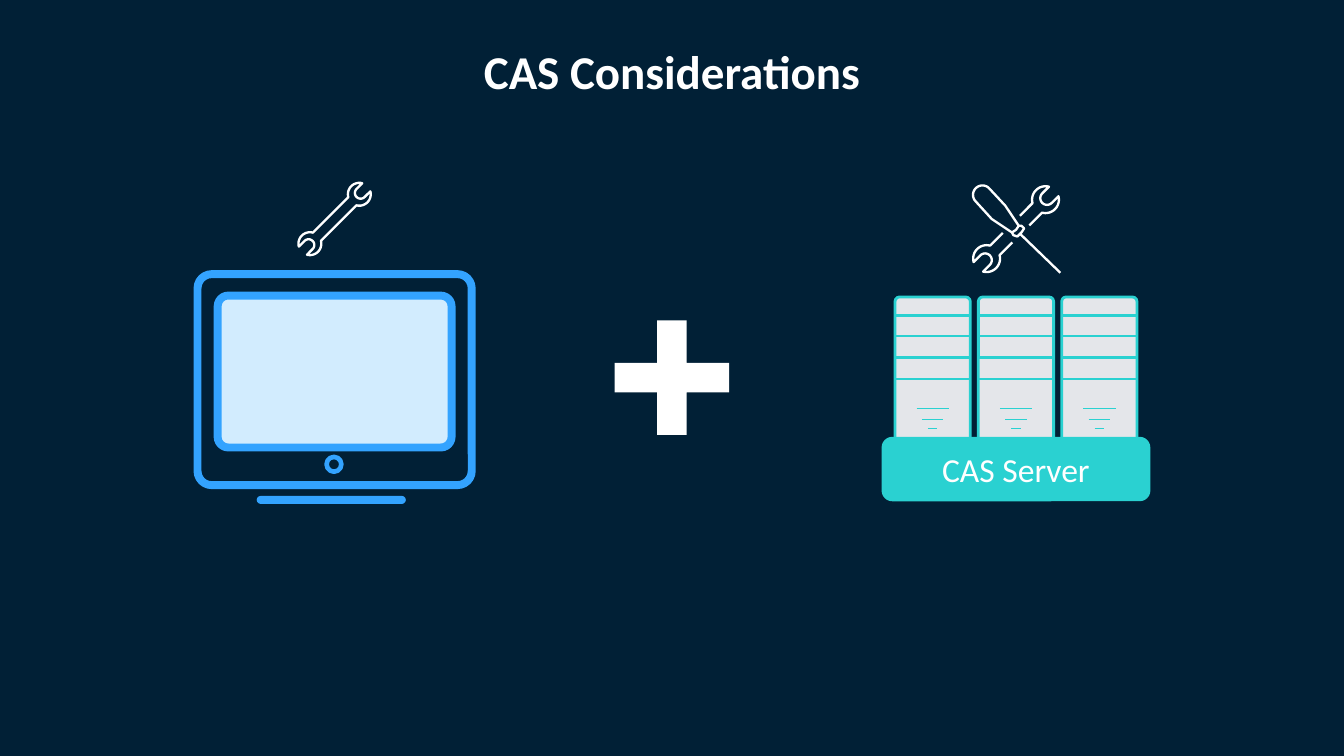
from math import cos, radians, sin, sqrt

from lxml import etree
from pptx import Presentation
from pptx.dml.color import RGBColor
from pptx.enum.shapes import MSO_CONNECTOR, MSO_SHAPE
from pptx.enum.text import MSO_ANCHOR, PP_ALIGN
from pptx.oxml.ns import qn
from pptx.util import Inches, Pt

ROUNDED, OVAL, PLUS = MSO_SHAPE.ROUNDED_RECTANGLE, MSO_SHAPE.OVAL, MSO_SHAPE.MATH_PLUS
STRAIGHT = MSO_CONNECTOR.STRAIGHT
MIDDLE, CENTER = MSO_ANCHOR.MIDDLE, PP_ALIGN.CENTER

THEME = {
    "font": "Calibri",
    "title_size": Pt(25.2),
    "label_size": Pt(18),
    "navy": RGBColor(0x01, 0x20, 0x36),
    "white": RGBColor(0xFF, 0xFF, 0xFF),
    "blue": RGBColor(0x33, 0xA3, 0xFF),
    "pale_blue": RGBColor(0xD2, 0xEC, 0xFE),
    "teal": RGBColor(0x2A, 0xD1, 0xD1),
    "gray": RGBColor(0xE4, 0xE6, 0xEA),
}
TOOL_LINE = 1.25


def style(shape, fill=None, line=None, width=1):
    """Give a shape a flat fill and outline; None means no paint."""
    shape.shadow.inherit = False
    for paint, color in ((shape.fill, fill), (shape.line.fill, line)):
        if color is None:
            paint.background()
        else:
            paint.solid()
            paint.fore_color.rgb = THEME[color]
    if line:
        shape.line.width = Pt(width)


def arc(x, y, radius, start, end, steps=16):
    """Points of a circular arc, angles in degrees."""
    angles = [radians(start + (end - start) * i / steps) for i in range(steps + 1)]
    return [(x + radius * cos(a), y + radius * sin(a)) for a in angles]


# Slide in 16:9 format
prs = Presentation()
prs.slide_width, prs.slide_height = Inches(10), Inches(10) * 9 // 16
slide = prs.slides.add_slide(prs.slide_layouts[6])
slide.background.fill.solid()
slide.background.fill.fore_color.rgb = THEME["navy"]

# Plus sign and title
plus = slide.shapes.add_shape(PLUS, Inches(4.42), Inches(2.23), Inches(1.16), Inches(1.16))
plus.adjustments[0] = 0.189
style(plus, "white")
title = slide.shapes.add_textbox(Inches(0.69), Inches(0.3), Inches(8.62), Inches(0.5))

client = slide.shapes.add_group_shape().shapes
server = slide.shapes.add_group_shape().shapes

# Monitor: case, screen, button, foot
for kind, left, top, width, height, corner, fill, line, weight in (
    (ROUNDED, 1.47, 2.04, 2.04, 1.57, 0.067, None, "blue", 4.25),
    (ROUNDED, 1.62, 2.2, 1.74, 1.13, 0.07, "pale_blue", "blue", 4.25),
    (OVAL, 2.43, 3.4, 0.11, 0.11, None, None, "blue", 2.5),
    (ROUNDED, 1.91, 3.69, 1.11, 0.06, 0.5, "blue", None, 0),
):
    part = client.add_shape(kind, Inches(left), Inches(top), Inches(width), Inches(height))
    if corner:
        part.adjustments[0] = corner
    style(part, fill, line, weight)

# Server racks, with the strokes collected for drawing below
strokes = []
for rack_index in range(3):
    left = 6.66 + 0.62 * rack_index
    rack = server.add_shape(ROUNDED, Inches(left), Inches(2.21), Inches(0.56), Inches(1.12))
    rack.adjustments[0] = 0.059
    style(rack, "gray", "teal", 1.5)
    for y in (2.35, 2.5, 2.66, 2.82):
        strokes.append((left, y, left + 0.56, y, "teal", 1.5))
    for y, length in ((3.04, 0.24), (3.12, 0.16), (3.19, 0.07)):
        start = left + 0.28 - length / 2
        strokes.append((start, y, start + length, y, "teal", 0.75))
strokes.append((7.59, 1.74, 7.89, 2.03, "white", TOOL_LINE))  # screwdriver shaft

for x1, y1, x2, y2, color, weight in strokes:
    stroke = server.add_connector(STRAIGHT, Inches(x1), Inches(y1), Inches(x2), Inches(y2))
    stroke.line.color.rgb = THEME[color]
    stroke.line.width = Pt(weight)
    etree.SubElement(stroke._element.spPr, qn("a:effectLst"))

label = server.add_shape(ROUNDED, Inches(6.56), Inches(3.25), Inches(2), Inches(0.48))
style(label, "teal")

# Wrench heads, drawn along a diagonal axis and mirrored about the wrench centre
wrench_heads = []
for center_x, center_y, reach, radius, side in (
    (2.49, 1.63, 0.26, 0.085, 1),
    (2.49, 1.63, 0.26, 0.085, -1),
    (7.56, 1.705, 0.31, 0.1, 1),
    (7.56, 1.705, 0.31, 0.1, -1),
):
    profile = (
        arc(reach, 0, radius, -150, -30)
        + arc(reach + 0.16 * radius, 0, radius / 2, -90, -270)
        + arc(reach, 0, radius, 30, 150)
    )
    if center_x > 5:  # the handle breaks where the screwdriver crosses it
        profile = [(0.09, -radius / 2), *profile, (0.09, radius / 2)]
    wrench_heads.append([
        (center_x + side * (v - u) / sqrt(2), center_y + side * (u + v) / sqrt(2))
        for u, v in profile
    ])

# Tool outlines
grip = [(7.53, 1.73), (7.38, 1.63), *arc(7.31, 1.45, 0.07, 135, 315),
        (7.48, 1.53), (7.58, 1.68)]
collar = [(7.58, 1.68), (7.6, 1.68), (7.62, 1.7), (7.6, 1.73), (7.57, 1.76),
          (7.54, 1.75), (7.53, 1.73), (7.56, 1.71)]
for group, points, closed in (
    (client, wrench_heads[0] + wrench_heads[1], True),
    (server, wrench_heads[2], False),
    (server, wrench_heads[3], False),
    (server, grip, False),
    (server, collar, True),
):
    corners = [(Inches(x), Inches(y)) for x, y in points]
    outline = group.build_freeform(*corners[0])
    outline.add_line_segments(corners[1:], close=closed)
    style(outline.convert_to_shape(), None, "white", TOOL_LINE)

# Title and server label text
for box, text, spacing, font_format in (
    (title, "CAS Considerations", 0.9, {"size": THEME["title_size"], "bold": True}),
    (label, "CAS Server", 1.0, {"size": THEME["label_size"], "bold": False}),
):
    frame = box.text_frame
    frame.word_wrap = True
    frame.vertical_anchor = MIDDLE
    paragraph = frame.paragraphs[0]
    paragraph.text = text
    paragraph.alignment = CENTER
    paragraph.line_spacing = spacing
    for name, value in {"name": THEME["font"], **font_format}.items():
        setattr(paragraph.font, name, value)
    paragraph.font.color.rgb = THEME["white"]

prs.save("out.pptx")
